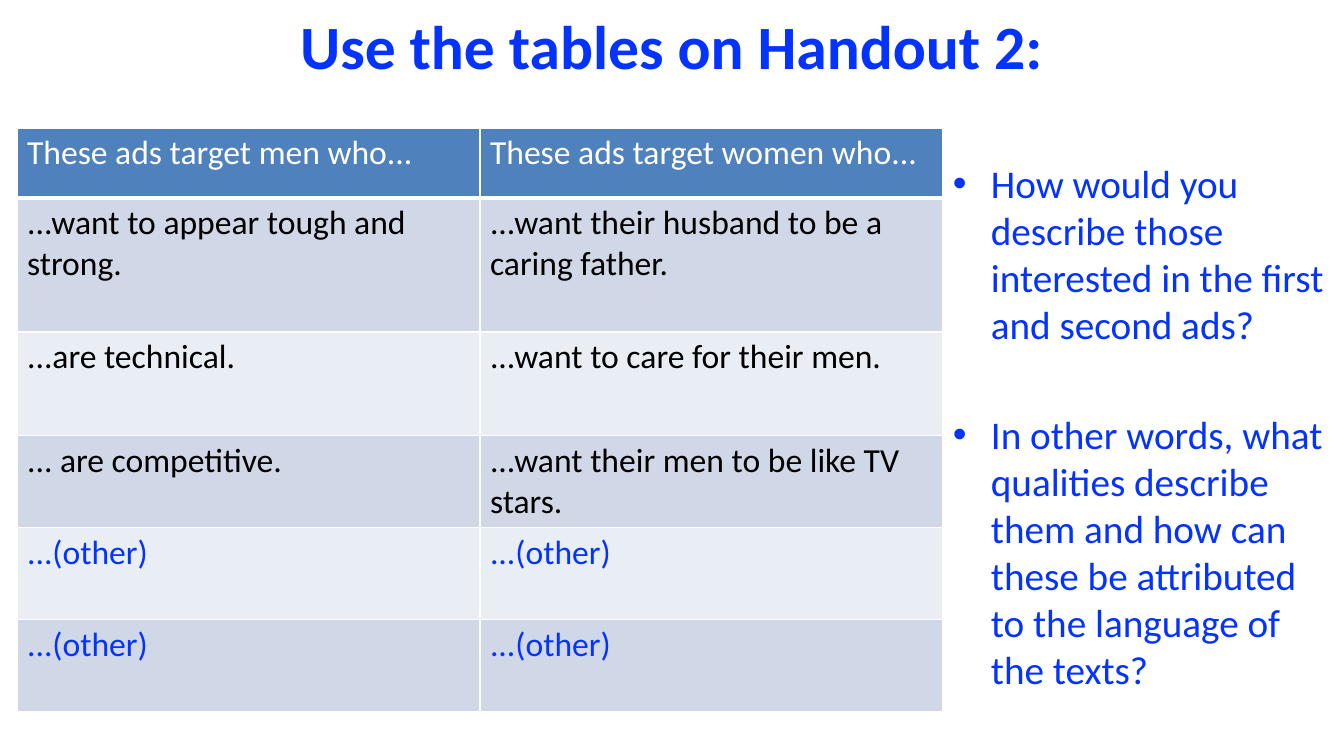
import pptx
import pptx.dml.color
import pptx.enum.text
import pptx.oxml
import pptx.oxml.ns
import pptx.util

RGBColor = pptx.dml.color.RGBColor
ALIGN = pptx.enum.text.PP_ALIGN
ANCHOR = pptx.enum.text.MSO_ANCHOR

PX = 914400 / 100.8
FONT = "Calibri"
BLUE = RGBColor(0x04, 0x32, 0xFF)
BLACK = RGBColor(0, 0, 0)
WHITE = RGBColor(0xFF, 0xFF, 0xFF)
HEADER = RGBColor(0x4F, 0x81, 0xBD)
BANDS = [RGBColor(0xD0, 0xD8, 0xE8), RGBColor(0xE9, 0xED, 0xF4)]

AUDIENCES = [
    ("These ads target men who...", "These ads target women who..."),
    ("...want to appear tough and strong.", "...want their husband to be a caring father."),
    ("...are technical.", "...want to care for their men."),
    ("... are competitive.", "...want their men to be like TV stars."),
    ("...(other)", "...(other)"),
    ("...(other)", "...(other)"),
]
ROW_HEIGHTS = [70, 134, 104, 92, 92, 92]
QUESTIONS = [
    "How would you describe those interested in the first and second ads?",
    "In other words, what qualities describe them and how can these be "
    "attributed to the language of the texts?",
]


def px(length):
    return pptx.util.Emu(round(length * PX))


def write(para, text, *, size, color, bold=False, align=ALIGN.LEFT, before=0):
    """Put formatted text into a paragraph."""
    para.alignment = align
    para.space_before = pptx.util.Pt(before)
    span = para.add_run()
    span.text = text
    span.font.name = FONT
    span.font.size = pptx.util.Pt(size)
    span.font.bold = bold
    span.font.color.rgb = color


def add_bullet(para, indent):
    props = para._p.get_or_add_pPr()
    props.set("marL", str(px(indent)))
    props.set("indent", str(-px(indent)))
    props.append(pptx.oxml.parse_xml(
        f'<a:buFont {pptx.oxml.ns.nsdecls("a")} typeface="Arial"/>'))
    props.append(pptx.oxml.parse_xml(
        f'<a:buChar {pptx.oxml.ns.nsdecls("a")} char="•"/>'))


def set_borders(cell, bottom):
    props = cell._tc.get_or_add_tcPr()
    widths = {"lnL": 1, "lnR": 1, "lnT": 1, "lnB": bottom}
    for position, (side, width) in enumerate(widths.items()):
        props.insert(position, pptx.oxml.parse_xml(
            f'<a:{side} {pptx.oxml.ns.nsdecls("a")} w="{pptx.util.Pt(width)}">'
            f'<a:solidFill><a:srgbClr val="{WHITE}"/></a:solidFill></a:{side}>'))


def add_text_frame(page, left, top, width, height, anchor):
    box = page.shapes.add_textbox(px(left), px(top), px(width), px(height))
    box.text_frame.word_wrap = True
    box.text_frame.vertical_anchor = anchor
    return box.text_frame


def add_title(page, left, top, width, height):
    frame = add_text_frame(page, left, top, width, height, ANCHOR.MIDDLE)
    write(frame.paragraphs[0], "Use the tables on Handout 2:",
          size=44, color=BLUE, bold=True, align=ALIGN.CENTER)


def add_audience_table(page, left, top, width):
    table = page.shapes.add_table(
        len(AUDIENCES), len(AUDIENCES[0]),
        px(left), px(top), px(width), px(sum(ROW_HEIGHTS))).table
    for row, height in zip(table.rows, ROW_HEIGHTS):
        row.height = px(height)
    for row_number, texts in enumerate(AUDIENCES):
        is_header = row_number == 0
        for column_number, text in enumerate(texts):
            cell = table.cell(row_number, column_number)
            cell.fill.solid()
            cell.fill.fore_color.rgb = HEADER if is_header else BANDS[(row_number - 1) % 2]
            set_borders(cell, bottom=3 if is_header else 1)
            color = WHITE if is_header else BLUE if "(other)" in text else BLACK
            write(cell.text_frame.paragraphs[0], text, size=24, color=color)


def add_questions(page, left, top, width, height):
    frame = add_text_frame(page, left, top, width, height, ANCHOR.TOP)
    for number, question in enumerate(QUESTIONS):
        para = frame.add_paragraph() if number else frame.paragraphs[0]
        add_bullet(para, 38)
        write(para, question, size=28, color=BLUE, before=45 if number else 0)


def main():
    deck = pptx.Presentation()
    deck.slide_width, deck.slide_height = px(1344), px(756)
    page = deck.slides.add_slide(deck.slide_layouts[6])
    # Heading
    add_title(page, 67, 0, 1210, 89)
    # Audience table, with discussion questions beside it
    add_audience_table(page, 17, 128, 926)
    add_questions(page, 943, 154, 393, 554)
    deck.save("out.pptx")


if __name__ == "__main__":
    main()
